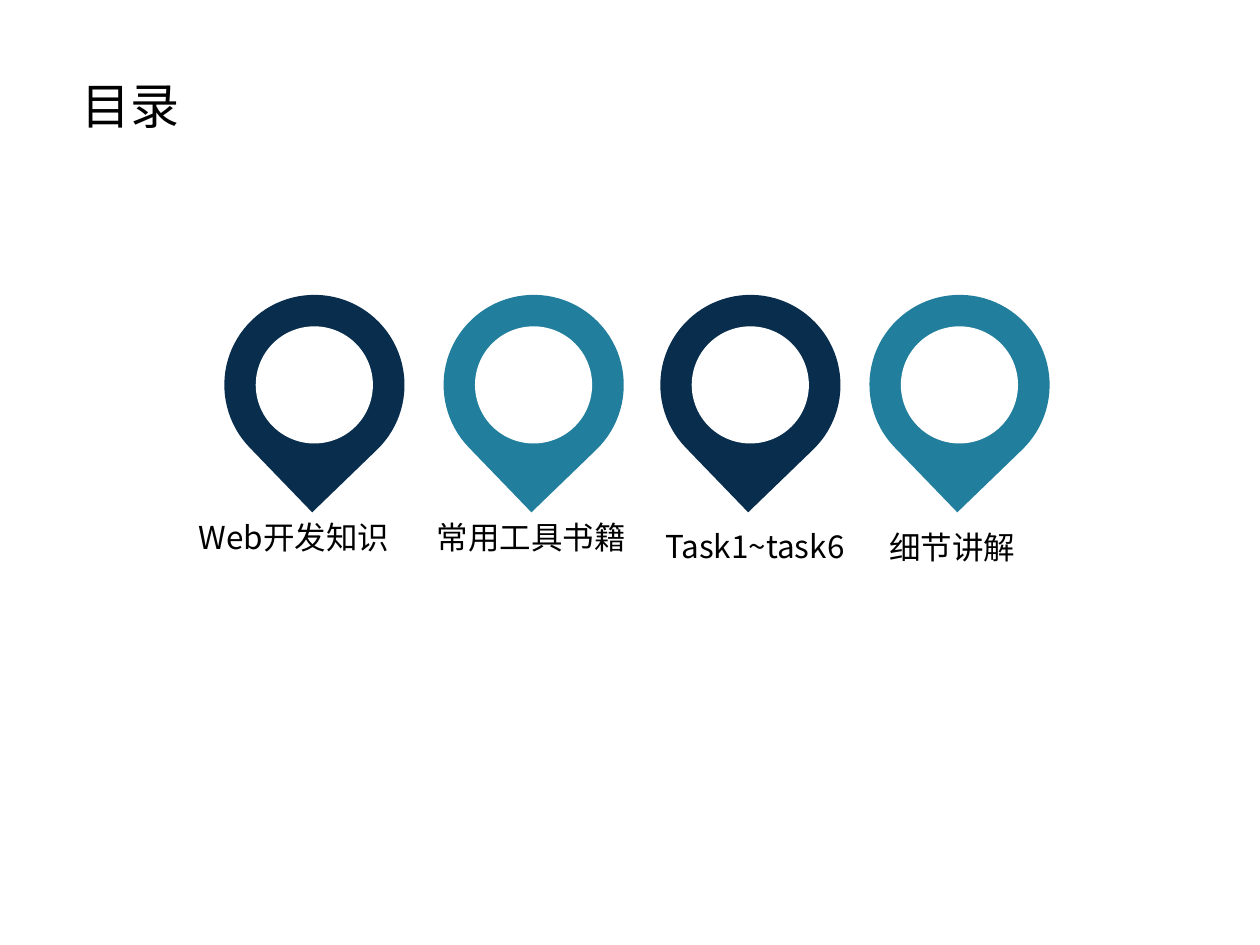
from lxml.etree import SubElement
from pptx import Presentation
from pptx.dml.color import RGBColor
from pptx.enum.shapes import MSO_SHAPE as Shape
from pptx.enum.text import MSO_ANCHOR as Anchor, MSO_AUTO_SIZE as AutoSize, PP_ALIGN as Align
from pptx.oxml.ns import qn
from pptx.util import Inches, Pt

NAVY = RGBColor(0x09, 0x2E, 0x4D)
TEAL = RGBColor(0x21, 0x7E, 0x9C)
WHITE = RGBColor(0xFF, 0xFF, 0xFF)
BLACK = RGBColor(0x00, 0x00, 0x00)

PIN_TOP, PIN_SIZE, HOLE_SIZE = 2.34, 1.43, 0.93
# The corner of a teardrop points up and right; this turn points it down
PIN_TURN = 136

# Pin left, pin colour, label, label left, label top, label width
STOPS = [
    (1.78, NAVY, "Web开发知识", 1.48, 4.06, 1.78),
    (3.52, TEAL, "常用工具书籍", 3.37, 4.06, 1.70),
    (5.24, NAVY, "Task1~task6", 5.18, 4.13, 1.64),
    (6.90, TEAL, "细节讲解", 6.96, 4.14, 1.20),
]


class ContentsPage:
    font_name = "Noto Sans CJK SC"

    def __init__(self, deck):
        self.page = deck.slides.add_slide(deck.slide_layouts[5])

    def set_text(self, box, text, size):
        frame = box.text_frame
        frame.vertical_anchor = Anchor.TOP
        para = frame.paragraphs[0]
        para.text = text
        para.alignment = Align.LEFT
        font = para.font
        font.name, font.size = self.font_name, Pt(size)
        font.color.rgb = BLACK
        # East Asian typeface for the Chinese characters
        for span in para.runs:
            properties = span._r.get_or_add_rPr()
            SubElement(properties, qn("a:ea"), typeface=self.font_name)

    def title(self, text, left, top, width, height):
        box = self.page.shapes.title
        box.left, box.top = Inches(left), Inches(top)
        box.width, box.height = Inches(width), Inches(height)
        box.text_frame.auto_size = AutoSize.NONE
        self.set_text(box, text, 28)

    def label(self, text, left, top, width):
        box = self.page.shapes.add_textbox(
            Inches(left), Inches(top), Inches(width), Inches(0.4))
        box.text_frame.word_wrap = False
        box.text_frame.auto_size = AutoSize.SHAPE_TO_FIT_TEXT
        self.set_text(box, text, 18)

    def shape(self, kind, left, top, size, color):
        shape = self.page.shapes.add_shape(
            kind, Inches(left), Inches(top), Inches(size), Inches(size))
        shape.shadow.inherit = False
        shape.fill.solid()
        shape.fill.fore_color.rgb = color
        shape.line.fill.background()
        return shape

    def pin(self, left, color):
        drop = self.shape(Shape.TEAR, left, PIN_TOP, PIN_SIZE, color)
        drop.rotation = PIN_TURN
        inset = (PIN_SIZE - HOLE_SIZE) / 2
        self.shape(Shape.FLOWCHART_CONNECTOR, left + inset, PIN_TOP + inset,
                   HOLE_SIZE, WHITE)


def main():
    deck = Presentation()
    deck.slide_width, deck.slide_height = Inches(10), Inches(7.5)
    contents = ContentsPage(deck)

    # Heading
    contents.title("目录", 0.55, 0.55, 1.09, 0.57)

    # Map pins with their labels
    for pin_left, color, text, left, top, width in STOPS:
        contents.pin(pin_left, color)
        contents.label(text, left, top, width)

    deck.save("out.pptx")


if __name__ == "__main__":
    main()
